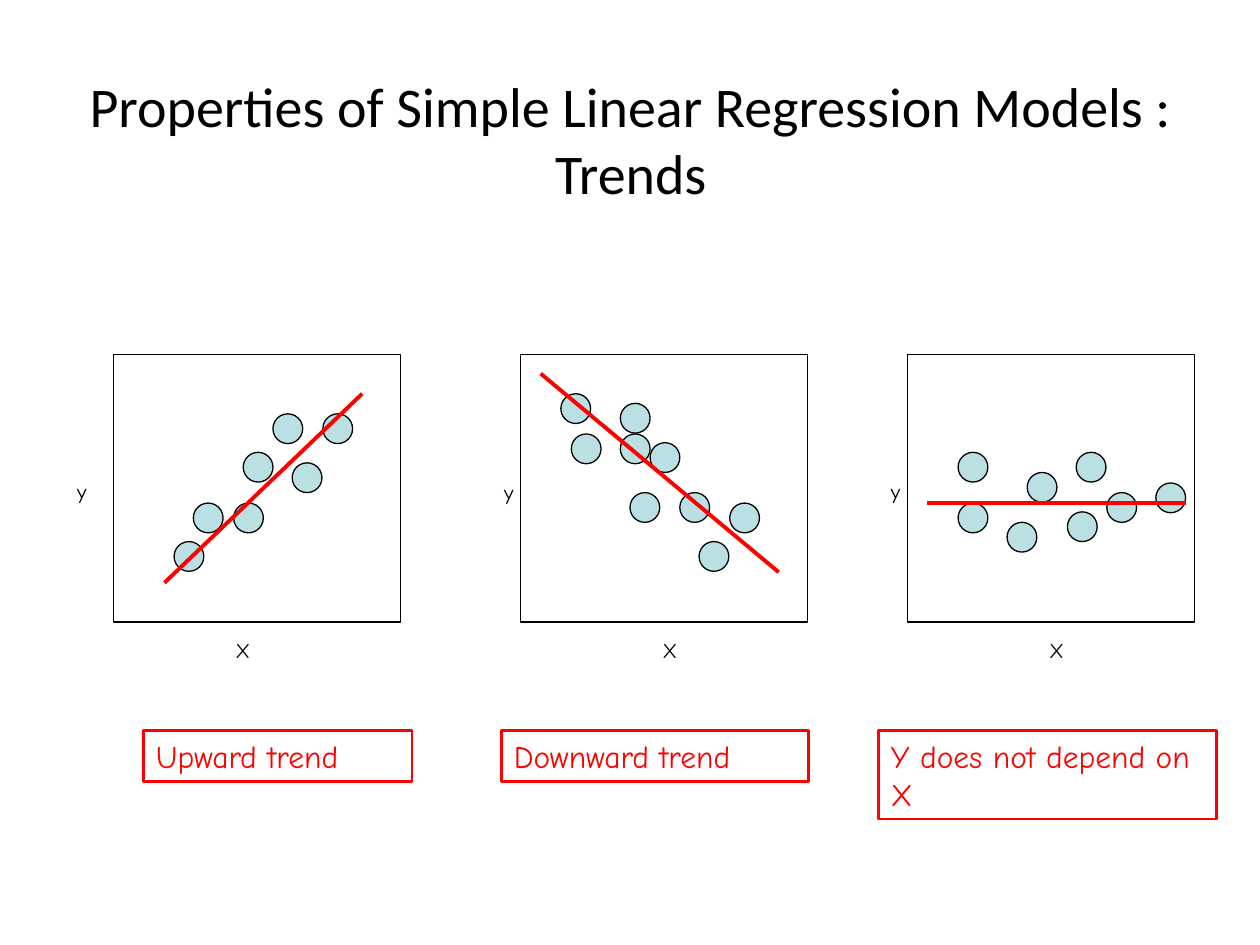
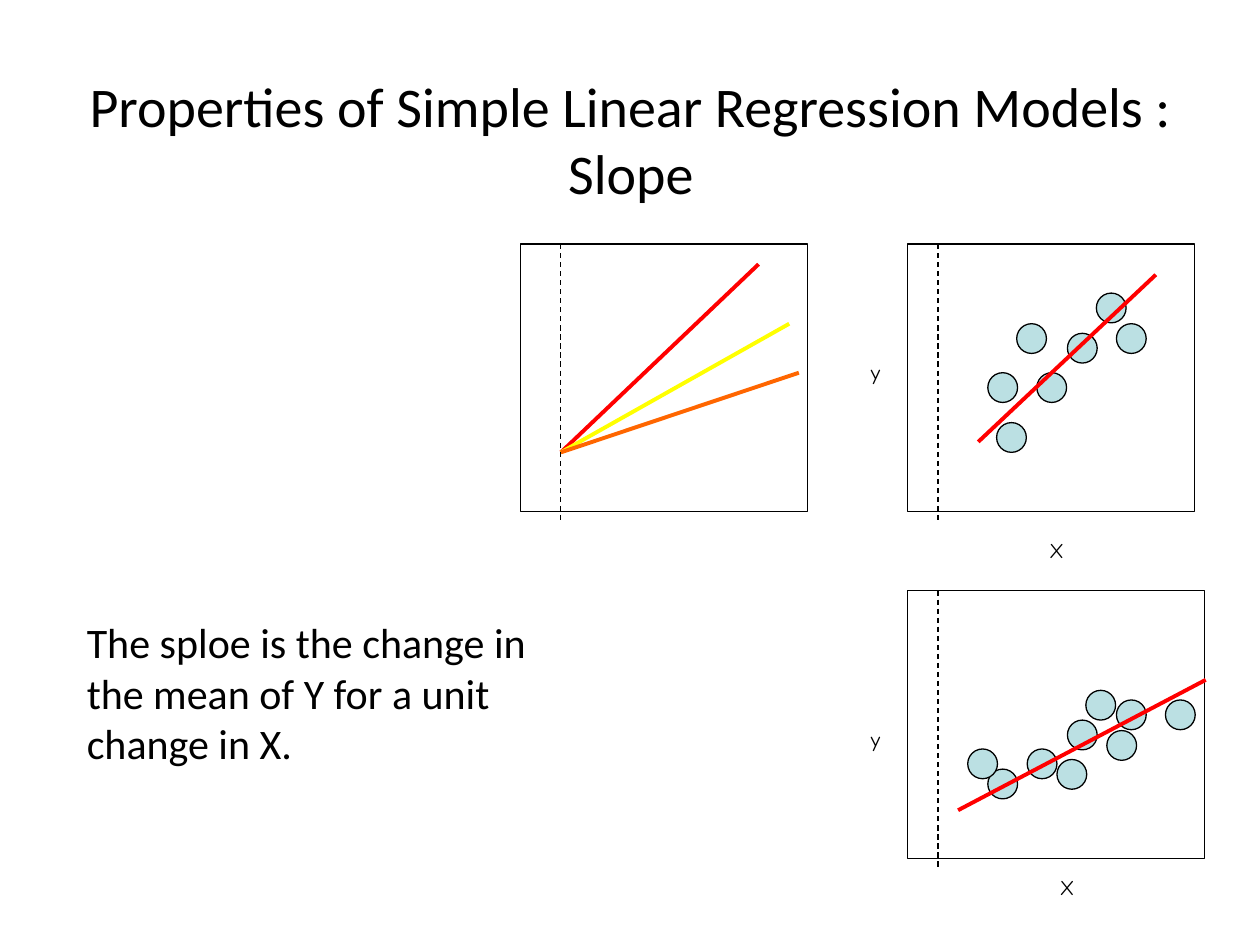
from pptx import Presentation
from pptx.dml.color import RGBColor
from pptx.enum.dml import MSO_LINE
from pptx.enum.shapes import MSO_CONNECTOR, MSO_SHAPE
from pptx.enum.text import MSO_ANCHOR, MSO_AUTO_SIZE, PP_ALIGN
from pptx.oxml.ns import qn
from pptx.util import Pt
from lxml.etree import SubElement

BLACK = RGBColor(0x00, 0x00, 0x00)
RED = RGBColor(0xFF, 0x00, 0x00)
YELLOW = RGBColor(0xFF, 0xFF, 0x00)
ORANGE = RGBColor(0xFF, 0x66, 0x00)
PALE_TEAL = RGBColor(0xBB, 0xE0, 0xE3)

BODY_FONT = "Calibri"
LABEL_FONT = "Comic Neue"
THIN, CAPTION_LINE, TREND_LINE = 0.75, 1.5, 2.25
PANEL_WIDTH, PANEL_HEIGHT = 164, 153
DOT = 17
LEFT_PANEL, MIDDLE_PANEL, RIGHT_PANEL = 65, 297.5, 518.5


class Deck:
    """Shared style plus the slide being filled."""

    def __init__(self):
        self.presentation = Presentation()
        self.presentation.slide_width = Pt(720)
        self.presentation.slide_height = Pt(540)
        self.slide = None

    def new_slide(self, topic):
        blank = self.presentation.slide_layouts[6]
        self.slide = self.presentation.slides.add_slide(blank)
        title = self.text(f"Properties of Simple Linear Regression Models : {topic}",
                          36.5, 20, 648, 118, 32)
        title.text_frame.auto_size = MSO_AUTO_SIZE.NONE
        title.text_frame.vertical_anchor = MSO_ANCHOR.MIDDLE
        title.text_frame.paragraphs[0].alignment = PP_ALIGN.CENTER

    def text(self, words, left, top, width, height, size, font=BODY_FONT, color=BLACK):
        box = self.slide.shapes.add_textbox(Pt(left), Pt(top), Pt(width), Pt(height))
        frame = box.text_frame
        frame.word_wrap = True
        frame.auto_size = MSO_AUTO_SIZE.SHAPE_TO_FIT_TEXT
        run = frame.paragraphs[0].add_run()
        run.text = words
        run.font.name, run.font.size = font, Pt(size)
        run.font.color.rgb = color
        return box

    def caption(self, words, left, width, height):
        box = self.text(words, left, 417.5, width, height, 18, LABEL_FONT, RED)
        box.line.color.rgb = RED
        box.line.width = Pt(CAPTION_LINE)

    def outlined(self, kind, left, top, width, height, fill=None):
        shape = self.slide.shapes.add_shape(kind, Pt(left), Pt(top), Pt(width), Pt(height))
        shape.shadow.inherit = False
        if fill is None:
            shape.fill.background()
        else:
            shape.fill.solid()
            shape.fill.fore_color.rgb = fill
        shape.line.color.rgb = BLACK
        shape.line.width = Pt(THIN)

    def line(self, start, end, color=RED, width=TREND_LINE, dash=None):
        stroke = self.slide.shapes.add_connector(
            MSO_CONNECTOR.STRAIGHT, *(Pt(value) for value in (*start, *end)))
        stroke.line.color.rgb = color
        stroke.line.width = Pt(width)
        if dash is not None:
            stroke.line.dash_style = dash
        SubElement(stroke._element.spPr, qn("a:effectLst"))

    def panel(self, left, top, dots=(), trends=(), x_label=None, y_label=None,
              intercept=None, width=PANEL_WIDTH):
        """Draw a plot; everything inside is placed from the panel's corner."""
        def place(point):
            return left + point[0], top + point[1]

        self.outlined(MSO_SHAPE.RECTANGLE, left, top, width, PANEL_HEIGHT)
        for dot in dots:
            self.outlined(MSO_SHAPE.OVAL, *place(dot), DOT, DOT, PALE_TEAL)
        for start, end, color in trends:
            self.line(place(start), place(end), color)
        for letter, corner in (("X", x_label), ("y", y_label)):
            if corner:
                self.text(letter, *place(corner), 23, 21.5, 12, LABEL_FONT)
        if intercept is not None:
            self.line(place((intercept, 0)), place((intercept, 158.5)),
                      BLACK, THIN, MSO_LINE.DASH)


def trends_slide(deck):
    deck.new_slide("Trends")
    top = 202.5

    # Upward, downward and flat scatter plots
    deck.panel(LEFT_PANEL, top,
               dots=[(68.5, 85), (74, 56), (91, 34), (119.5, 34), (34.5, 107),
                     (45.5, 85), (102, 62)],
               trends=[((29, 130.5), (142, 22.5), RED)],
               x_label=(62.5, 158.5), y_label=(-28, 67.5))
    deck.panel(MIDDLE_PANEL, top,
               dots=[(29, 45.5), (57, 45.5), (74, 50.5), (62.5, 79), (91, 79),
                     (119.5, 85), (102, 107), (23, 22.5), (57, 28)],
               trends=[((11.5, 11), (147.5, 124.5), RED)],
               x_label=(74, 158.5), y_label=(-16.5, 68))
    deck.panel(RIGHT_PANEL, top,
               dots=[(96.5, 56), (29, 56), (57, 96), (68.5, 67.5), (91.5, 90),
                     (114, 79), (142, 73.5), (29, 85)],
               trends=[((11.5, 85), (159, 85), RED)],
               x_label=(74, 158.5), y_label=(-16.5, 67.5))

    # Captions
    deck.caption("Upward trend", 82, 153.5, 29)
    deck.caption("Downward trend", 286.5, 175.5, 29)
    deck.caption("Y does not depend on X", 502, 193, 50.5)


def slope_slide(deck):
    deck.new_slide("Slope")
    top = 139.5

    # Three slopes from one intercept
    origin = (23, 119)
    deck.panel(MIDDLE_PANEL, top,
               trends=[(origin, (136, 11.5), RED),
                       (origin, (153.5, 45.5), YELLOW),
                       (origin, (159, 73.5), ORANGE)],
               intercept=origin[0])

    # Steep and gentle scatter plots
    deck.panel(RIGHT_PANEL, top,
               dots=[(74, 73.5), (51, 102), (62.5, 45.5), (119.5, 45.5),
                     (91.5, 51), (108, 28), (46, 73.5)],
               trends=[((40.5, 113), (142, 17.5), RED)],
               x_label=(74, 164), y_label=(-28, 62.5), intercept=17.5)
    deck.panel(RIGHT_PANEL, 337.5, width=170,
               dots=[(68.5, 90.5), (102, 57), (85.5, 96.5), (91.5, 74),
                     (119.5, 62.5), (114, 80), (147.5, 62.5), (46, 102),
                     (34.5, 90.5)],
               trends=[((29, 125.5), (170.5, 51), RED)],
               x_label=(80, 159), y_label=(-28, 74), intercept=17.5)

    # Explanation
    deck.text("The sploe is the change in the mean of Y for a unit change in X.",
              42.5, 349, 283.5, 93.5, 24)


def main():
    deck = Deck()
    trends_slide(deck)
    slope_slide(deck)
    deck.presentation.save("out.pptx")


if __name__ == "__main__":
    main()
